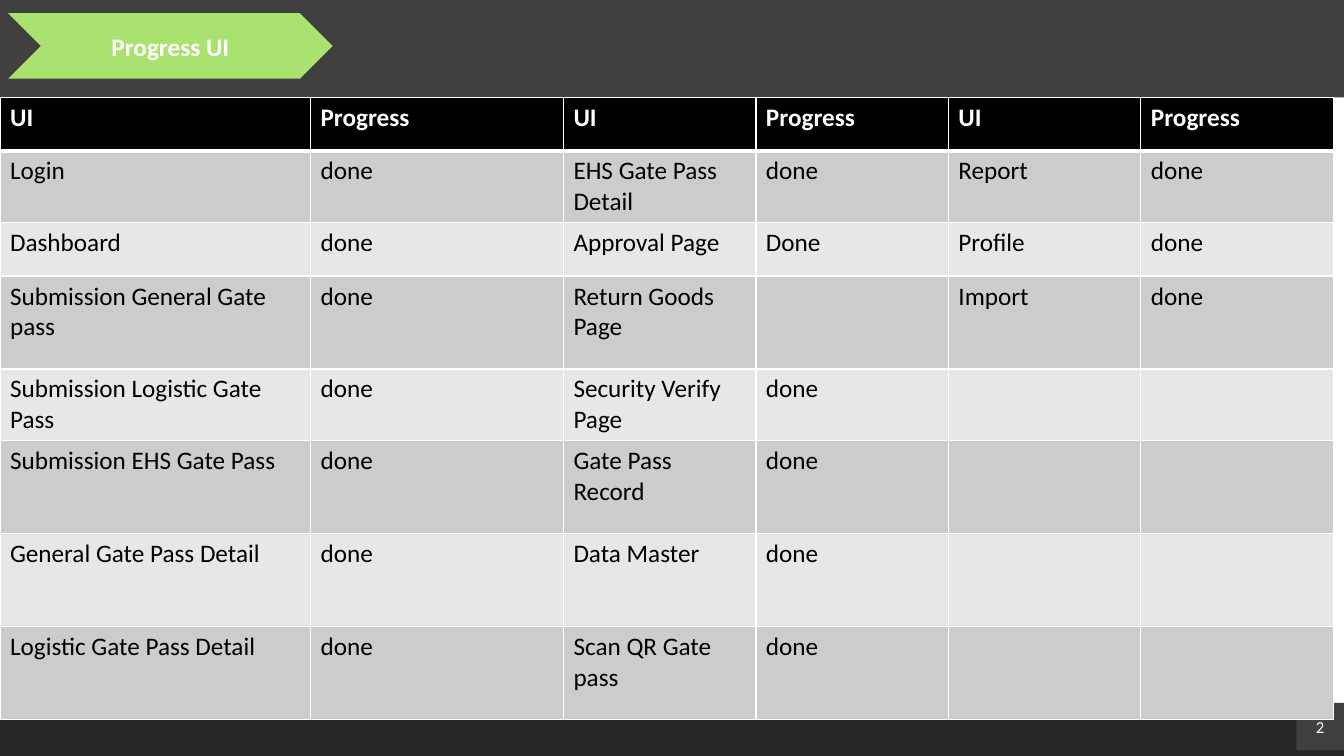
import dataclasses

import lxml.etree
import pptx
import pptx.dml.color
import pptx.enum.shapes
import pptx.enum.text
import pptx.oxml.ns
import pptx.util

Pt = pptx.util.Pt
SHAPES = pptx.enum.shapes.MSO_SHAPE


@dataclasses.dataclass(frozen=True)
class Theme:
    font: str = "Calibri"
    body_size: int = 18
    number_size: int = 12
    white: str = "FFFFFF"
    black: str = "000000"
    bar: str = "404040"
    footer: str = "262626"
    accent: str = "A9E26F"
    bands: tuple = ("CCCCCC", "E7E7E7")
    rule: int = 1
    header_rule: int = 3


THEME = Theme()
WIDTH, HEIGHT = 960, 540
COL_WIDTHS = [221.8, 180.7] + [137.5] * 4
SHORT, TALL = 38.2, 66.4
ROW_HEIGHTS = [SHORT, SHORT, SHORT, TALL, SHORT, TALL, TALL, TALL]
ROWS = [
    ["UI", "Progress", "UI", "Progress", "UI", "Progress"],
    ["Login", "done", "EHS Gate Pass Detail", "done", "Report", "done"],
    ["Dashboard", "done", "Approval Page", "Done", "Profile", "done"],
    ["Submission General Gate pass", "done", "Return Goods Page", "", "Import", "done"],
    ["Submission Logistic Gate Pass", "done", "Security Verify Page", "done", "", ""],
    ["Submission EHS Gate Pass", "done", "Gate Pass Record", "done", "", ""],
    ["General Gate Pass Detail", "done", "Data Master", "done", "", ""],
    ["Logistic Gate Pass Detail", "done", "Scan QR Gate pass", "done", "", ""],
]


def rgb(color):
    return pptx.dml.color.RGBColor.from_string(color)


def set_font(p, size, color, bold=False):
    p.font.name = THEME.font
    p.font.size = Pt(size)
    p.font.bold = bold
    p.font.color.rgb = rgb(color)


def add_block(slide, kind, box, fill):
    sp = slide.shapes.add_shape(kind, *map(Pt, box))
    sp.shadow.inherit = False
    sp.fill.solid()
    sp.fill.fore_color.rgb = rgb(fill)
    sp.line.fill.background()
    return sp


def add_label(sp, text, size, bold=False):
    tf = sp.text_frame
    tf.vertical_anchor = pptx.enum.text.MSO_ANCHOR.MIDDLE
    p = tf.paragraphs[0]
    p.text = text
    p.alignment = pptx.enum.text.PP_ALIGN.CENTER
    set_font(p, size, THEME.white, bold)


def set_borders(cell, top, bottom):
    """Draw white rules; the border elements come before the cell fill."""
    tc_pr = cell._tc.get_or_add_tcPr()
    qn = pptx.oxml.ns.qn
    sides = {"L": THEME.rule, "R": THEME.rule, "T": top, "B": bottom}
    for i, (side, width) in enumerate(sides.items()):
        ln = lxml.etree.Element(qn(f"a:ln{side}"), w=str(Pt(width)))
        fill = lxml.etree.SubElement(ln, qn("a:solidFill"))
        lxml.etree.SubElement(fill, qn("a:srgbClr"), val=THEME.white)
        tc_pr.insert(i, ln)


def add_header(slide, x, y, w, h):
    add_block(slide, SHAPES.RECTANGLE, (x, y, w, h), THEME.bar)


def add_title(slide, x, y, w, h):
    sp = add_block(slide, SHAPES.CHEVRON, (x, y, w, h), THEME.accent)
    add_label(sp, "Progress UI", THEME.body_size, bold=True)


def add_footer(slide, x, y, w, h):
    add_block(slide, SHAPES.RECTANGLE, (x, y, w, h), THEME.footer)
    # Page number tile in the right corner
    side = 34
    sp = add_block(slide, SHAPES.RECTANGLE, (x + w - side, y - 2, side, side), THEME.bar)
    tf = sp.text_frame
    tf.margin_left = tf.margin_right = tf.margin_top = tf.margin_bottom = 0
    add_label(sp, "2", THEME.number_size)


def add_progress_table(slide, x, y, w, h):
    frame = slide.shapes.add_table(len(ROWS), len(COL_WIDTHS), Pt(x), Pt(y), Pt(w), Pt(h))
    table = frame.table
    table.horz_banding = False
    for column, width in zip(table.columns, COL_WIDTHS):
        column.width = Pt(width)
    for i, (row, height) in enumerate(zip(table.rows, ROW_HEIGHTS)):
        row.height = Pt(height)
        head = i == 0
        for cell, text in zip(row.cells, ROWS[i]):
            cell.fill.solid()
            cell.fill.fore_color.rgb = rgb(THEME.black if head else THEME.bands[(i - 1) % 2])
            set_borders(cell,
                        top=THEME.header_rule if i == 1 else THEME.rule,
                        bottom=THEME.header_rule if head else THEME.rule)
            p = cell.text_frame.paragraphs[0]
            p.text = text
            set_font(p, THEME.body_size, THEME.white if head else THEME.black, head)


def build_progress_slide(prs):
    slide = prs.slides.add_slide(prs.slide_layouts[6])
    add_footer(slide, 0, 504, WIDTH, 36)
    add_header(slide, 0, -0.7, WIDTH, 70.3)
    add_title(slide, 5.8, 9.4, 231.8, 46.8)
    add_progress_table(slide, 0, 69.6, sum(COL_WIDTHS), sum(ROW_HEIGHTS))


def main():
    prs = pptx.Presentation()
    prs.slide_width, prs.slide_height = Pt(WIDTH), Pt(HEIGHT)
    build_progress_slide(prs)
    prs.save("out.pptx")


if __name__ == "__main__":
    main()
